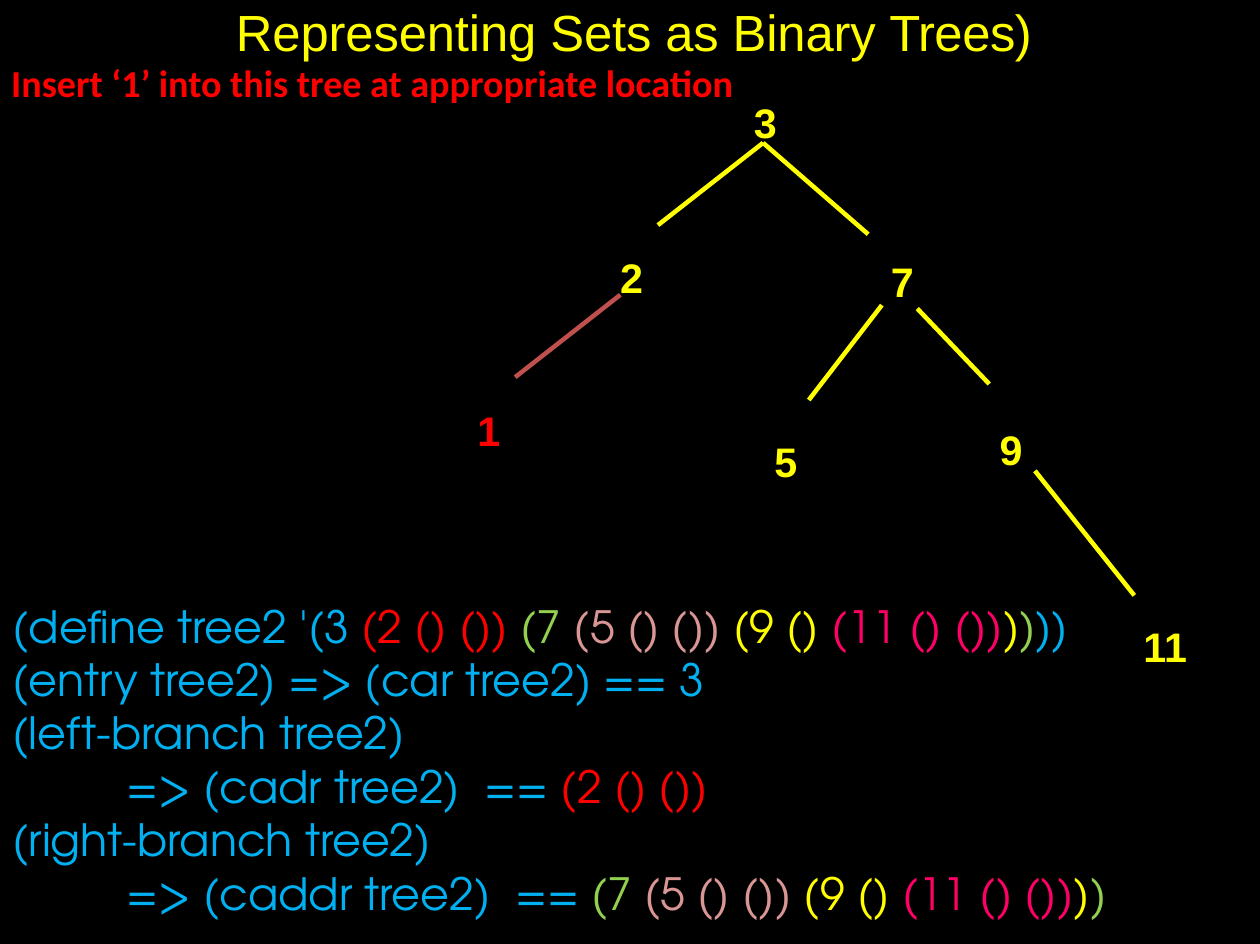
from lxml.etree import SubElement
from pptx import Presentation
from pptx.dml.color import RGBColor
from pptx.enum.shapes import MSO_CONNECTOR as Connector
from pptx.enum.text import MSO_ANCHOR as Anchor, MSO_AUTO_SIZE as AutoSize, PP_ALIGN as Align
from pptx.oxml.ns import qn
from pptx.util import Inches, Pt

BLACK = RGBColor(0x00, 0x00, 0x00)
YELLOW = RGBColor(0xFF, 0xFF, 0x00)
RED = RGBColor(0xFF, 0x00, 0x00)
BRICK = RGBColor(0xC0, 0x50, 0x4D)
BLUE = RGBColor(0x00, 0xB0, 0xF0)
GREEN = RGBColor(0x92, 0xD0, 0x50)
ROSE = RGBColor(0xD9, 0x96, 0x94)
PINK = RGBColor(0xFF, 0x00, 0x66)


class TreeSlide:
    """Holds the fonts and the current slide."""

    heading_font = "Arial"
    task_font = "Calibri"
    code_font = "TeX Gyre Adventor"

    def __init__(self, presentation):
        self.slide = presentation.slides.add_slide(presentation.slide_layouts[5])
        fill = self.slide.background.fill
        fill.solid()
        fill.fore_color.rgb = BLACK

    def add_run(self, paragraph, text, font, size, color, bold=False):
        run = paragraph.add_run()
        run.text = text
        run.font.name = font
        run.font.size = Pt(size)
        run.font.bold = bold
        run.font.color.rgb = color
        return run

    def set_frame(self, shape, side_margin=0, end_margin=0.01, wrap=True):
        frame = shape.text_frame
        frame.auto_size = AutoSize.NONE
        frame.word_wrap = wrap
        frame.vertical_anchor = Anchor.TOP
        frame.margin_left = frame.margin_right = Inches(side_margin)
        frame.margin_top = frame.margin_bottom = Inches(end_margin)
        return frame

    def add_box(self, left, top, width, height, **frame_style):
        box = self.slide.shapes.add_textbox(
            Inches(left), Inches(top), Inches(width), Inches(height))
        return self.set_frame(box, **frame_style)

    def title(self, pieces):
        shape = self.slide.shapes.title
        shape.left, shape.top = Inches(0.26), Inches(0)
        shape.width, shape.height = Inches(10.58), Inches(0.55)
        paragraph = self.set_frame(shape).paragraphs[0]
        paragraph.alignment = Align.CENTER
        for text, spacing in pieces:
            run = self.add_run(paragraph, text, self.heading_font, 32, YELLOW)
            run._r.get_or_add_rPr().set("spc", str(spacing))

    def task(self, text):
        frame = self.add_box(0, 0.47, 6.58, 0.5, side_margin=0.1, end_margin=0.05, wrap=False)
        self.add_run(frame.paragraphs[0], text, self.task_font, 24, RED, bold=True)

    def node(self, text, left, top, color=YELLOW):
        frame = self.add_box(left, top, 0.23 * len(text), 0.46, wrap=False)
        self.add_run(frame.paragraphs[0], text, self.heading_font, 26, color, bold=True)

    def edge(self, start, end, color=YELLOW):
        line = self.slide.shapes.add_connector(
            Connector.STRAIGHT, *(Inches(value) for value in start + end))
        line.line.color.rgb = color
        line.line.width = Pt(2.83)
        SubElement(line._element.spPr, qn("a:effectLst"))

    def code(self, lines):
        frame = self.add_box(0.01, 5.19, 10.58, 2.95, side_margin=0.1, end_margin=0.05)
        for number, (indent, runs) in enumerate(lines):
            paragraph = frame.add_paragraph() if number else frame.paragraphs[0]
            if indent:
                properties = paragraph._p.get_or_add_pPr()
                properties.set("marL", str(Inches(indent)))
                properties.set("indent", "0")
            for text, color in runs:
                self.add_run(paragraph, text, self.code_font, 28, color)


# Tree: nodes and the edges between them
NODES = [
    ("3", 6.6, 0.84), ("2", 5.43, 2.2), ("7", 7.8, 2.23),
    ("5", 6.78, 3.81), ("9", 8.75, 3.7), ("11", 10.01, 5.43),
]
EDGES = [
    ((6.68, 1.25), (5.76, 1.97)), ((6.68, 1.25), (7.6, 2.05)),
    ((7.72, 2.67), (7.08, 3.5)), ((8.03, 2.7), (8.66, 3.36)),
    ((9.06, 4.12), (9.93, 5.21)),
]

# Code: each subtree keeps its own colour
RIGHT_BRANCH = [
    ("(7 ", GREEN), ("(5 () ()) ", ROSE), ("(9 () ", YELLOW),
    ("(11 () ())", PINK), (")", YELLOW), (")", GREEN),
]
CODE = [
    (0, [("(define tree2 '(3 ", BLUE), ("(2 () ()) ", RED), *RIGHT_BRANCH, ("))", BLUE)]),
    (0, [("(entry tree2) => (car tree2) == 3", BLUE)]),
    (0, [("(left-branch tree2)", BLUE)]),
    (1, [("=> (cadr tree2)  == ", BLUE), ("(2 () ())", RED)]),
    (0, [("(right-branch tree2)", BLUE)]),
    (1, [("=> (caddr tree2)  == ", BLUE), *RIGHT_BRANCH]),
]


def main():
    presentation = Presentation()
    presentation.slide_width = Inches(11.03)
    presentation.slide_height = Inches(8.26)
    page = TreeSlide(presentation)

    # Heading and task
    page.title([("Representing Sets as Binary ", -10), ("Trees)", -30)])
    page.task("Insert ‘1’ into this tree at appropriate location")

    # Existing tree
    for start, end in EDGES:
        page.edge(start, end)
    for text, left, top in NODES:
        page.node(text, left, top)

    # Inserted node
    page.edge((5.43, 2.58), (4.51, 3.3), BRICK)
    page.node("1", 4.18, 3.54, RED)

    # Scheme code
    page.code(CODE)
    presentation.save("out.pptx")


if __name__ == "__main__":
    main()
